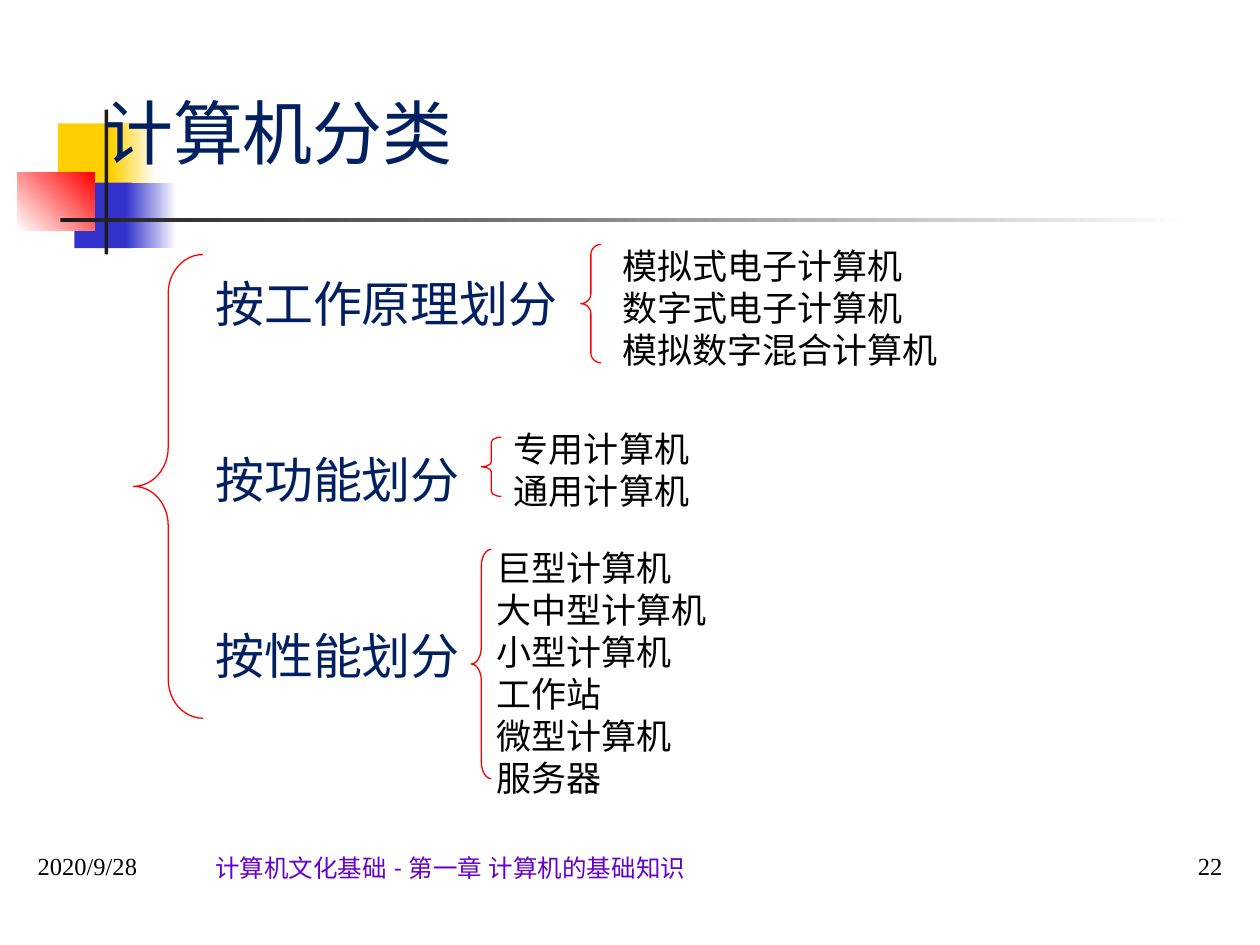
from pptx import Presentation
from pptx.dml.color import RGBColor
from pptx.enum.shapes import MSO_SHAPE as Shape
from pptx.enum.text import MSO_ANCHOR as Anchor, PP_ALIGN as Align
from pptx.oxml.ns import qn
from pptx.util import Inches, Pt
from lxml.etree import SubElement

WHITE = RGBColor(0xFF, 0xFF, 0xFF)
BLACK = RGBColor(0, 0, 0)
DARK = RGBColor(0x1C, 0x1C, 0x1C)
GOLD = RGBColor(0xFF, 0xCF, 0x01)
BLUE = RGBColor(0x33, 0x33, 0xCC)
RED = RGBColor(0xFF, 0, 0)
NAVY = RGBColor(0, 0x20, 0x60)
PURPLE = RGBColor(0x66, 0, 0xCC)
SANS = "Noto Sans CJK JP"
SERIF = "Times New Roman"

deck = Presentation()
deck.slide_width, deck.slide_height = Inches(10), Inches(7.5)
slide = deck.slides.add_slide(deck.slide_layouts[6])


def add_shape(kind, area):
    shape = slide.shapes.add_shape(kind, *[Inches(n) for n in area])
    shape.shadow.inherit = False
    return shape


def add_text(area, text, size, face, color, anchor=Anchor.TOP, gap=0):
    box = slide.shapes.add_textbox(*[Inches(n) for n in area])
    frame = box.text_frame
    frame.word_wrap = True
    frame.vertical_anchor = anchor
    frame.text = text
    for i, par in enumerate(frame.paragraphs):
        if face != SERIF:
            par.line_spacing = Pt(size * 1.2)
        if i:
            par.space_before = Pt(gap)
        for run in par.runs:
            run.font.size = Pt(size)
            run.font.color.rgb = color
            run.font.name = face
            SubElement(run.font._element, qn("a:ea")).set("typeface", face)
    return frame


decor = [
    ((0.46, 0.98, 0.48, 0.52), GOLD, None, 0),
    ((0.88, 0.98, 0.36, 0.52), GOLD, WHITE, 0),
    ((0.59, 1.45, 0.46, 0.52), BLUE, None, 0),
    ((1, 1.45, 0.4, 0.52), BLUE, WHITE, 0),
    ((0.14, 1.37, 0.61, 0.46), WHITE, RED, 45),
    ((0.83, 0.87, 0.03, 1.15), DARK, None, 0),
    ((0.48, 1.73, 9, 0.03), DARK, WHITE, 0),
]
for area, start, end, angle in decor:
    block = add_shape(Shape.RECTANGLE, area)
    block.line.fill.background()
    if end is None:
        block.fill.solid()
        block.fill.fore_color.rgb = start
    else:
        block.fill.gradient()
        block.fill.gradient_angle = angle
        for stop, color in zip(block.fill.gradient_stops, (start, end)):
            stop.color.rgb = color

add_text((0.2, 6.54, 1.26, 0.5), "2020/9/28", 14, SERIF, BLACK, Anchor.BOTTOM)
add_text((1.61, 6.55, 6.77, 0.5), "计算机文化基础 - 第一章 计算机的基础知识",
         14, "Lato", PURPLE, Anchor.BOTTOM)
page = add_text((8.54, 6.54, 1.26, 0.5), "22", 14, SERIF, BLACK, Anchor.BOTTOM)
page.paragraphs[0].alignment = Align.RIGHT

title = add_text((0.72, 0.36, 8.56, 1.02), "计算机分类", 40,
                 "Noto Sans CJK SC", NAVY, Anchor.BOTTOM)
title.margin_bottom = 0

heads = add_text((1.61, 2.09, 3.07, 3.4), "按工作原理划分\n按功能划分\n按性能划分",
                 28, SANS, NAVY, gap=67)
heads.margin_top = Inches(0.08)

groups = [
    ((4.84, 1.86, 3.46, 1.1), "模拟式电子计算机\v数字式电子计算机\v模拟数字混合计算机"),
    ((3.98, 3.31, 2.99, 0.77), "专用计算机\n通用计算机"),
    ((3.84, 4.26, 2.99, 2.12),
     "巨型计算机\n大中型计算机\n小型计算机\n工作站\n微型计算机\n服务器"),
]
for area, text in groups:
    items = add_text(area, text, 20, SANS, BLACK)
    items.margin_top = Inches(0.08)

braces = [
    ((1.06, 2.02, 0.55, 3.68), 0.56),
    ((4.61, 1.94, 0.16, 0.94), 0.5),
    ((3.82, 3.47, 0.16, 0.47), 0.25),
    ((3.74, 4.36, 0.16, 1.82), 0.83),
]
for area, curve in braces:
    brace = add_shape(Shape.LEFT_BRACE, area)
    brace.adjustments[0] = curve
    brace.fill.background()
    brace.line.color.rgb = RED
    brace.line.width = Pt(0.75)

deck.save("out.pptx")
